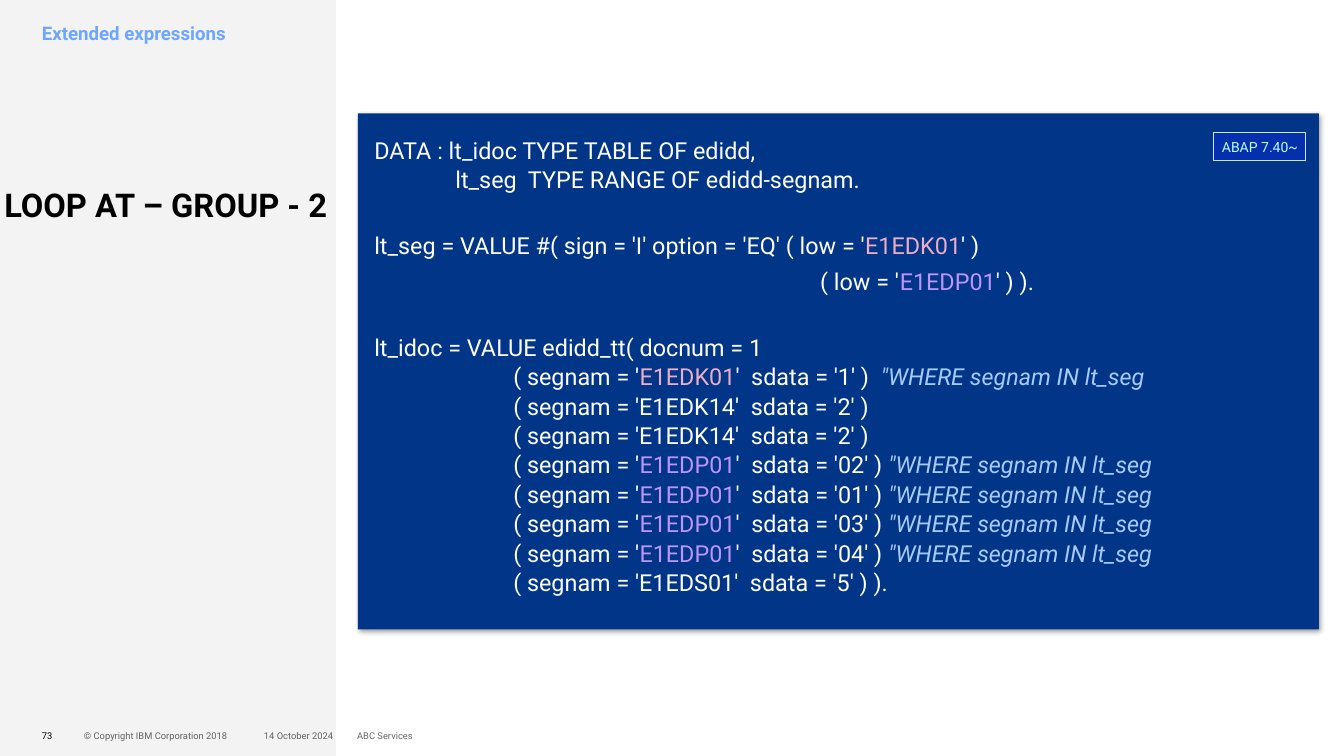
import pptx
import pptx.util
import pptx.dml.color
import pptx.enum.text
import pptx.enum.shapes
import lxml.etree

Cm, Pt = pptx.util.Cm, pptx.util.Pt
ANCHOR = pptx.enum.text.MSO_ANCHOR
ALIGN = pptx.enum.text.PP_ALIGN
RECT = pptx.enum.shapes.MSO_SHAPE.RECTANGLE
NS = "http://schemas.openxmlformats.org/drawingml/2006/main"

COLORS = {
    "black": "000000", "white": "FFFFFF", "side": "F3F3F3", "topic": "6EA6FF",
    "panel": "003587", "pink": "EFACC5", "violet": "BE94FD", "note": "A8CAFF",
    "badge": "0530AD", "edge": "CFE2FF", "mint": "BEFFFE",
}

# Content
TITLE = "LOOP AT – GROUP - 2"
TOPIC = "Extended expressions"
BADGE = "ABAP 7.40~"
NOTE = "\"WHERE segnam IN lt_seg"
FOOTER = [  # text, left, width, alignment, opacity
    ("73", 1.27, 0.91, ALIGN.LEFT, 100),
    ("© Copyright IBM Corporation 2018", 2.54, 6.35, ALIGN.LEFT, 60),
    ("14 October 2024", 6.27, 3.81, ALIGN.RIGHT, 60),
    ("ABC Services", 10.8, 6.35, ALIGN.LEFT, 60),
]
ROWS = [  # segment, data, ending, colour
    ("E1EDK01", "1", " )  ", "pink"),
    ("E1EDK14", "2", " )", None),
    ("E1EDK14", "2", " )", None),
    ("E1EDP01", "02", " ) ", "violet"),
    ("E1EDP01", "01", " ) ", "violet"),
    ("E1EDP01", "03", " ) ", "violet"),
    ("E1EDP01", "04", " ) ", "violet"),
    ("E1EDS01", "5", " ) ).", None),
]


def row(name, data, end, color):
    """One code line as a list of runs: (text, colour)."""
    head, tail = " " * 24 + "( segnam = '", f"'  sdata = '{data}'{end}"
    if color is None:
        return [(head + name + tail, "white")]
    return [(head, "white"), (name, color), (tail, "white"), (NOTE, "note")]


# Code blocks: space before in points, then lines of runs
CODE = [
    (0, [[("DATA : lt_idoc TYPE TABLE OF edidd,", "white")],
         [(" " * 14 + "lt_seg  TYPE RANGE OF edidd-segnam.", "white")]]),
    (31, [[("lt_seg = VALUE #( sign = 'I' option = 'EQ' ( low = '", "white"),
           ("E1EDK01", "pink"), ("' )", "white")]]),
    (6, [[(" " * 77 + "( low = '", "white"),
          ("E1EDP01", "violet"), ("' ) ).", "white")]]),
    (31, [[("lt_idoc = VALUE edidd_tt( docnum = 1", "white")]]
     + [row(*item) for item in ROWS]),
]


def rgb(name):
    return pptx.dml.color.RGBColor.from_string(COLORS[name])


def write(shape, text, size=20, color="black", bold=False, align=ALIGN.LEFT,
          anchor=ANCHOR.TOP, space=1.0, inset=(0, 0, 0, 0), wrap=True, alpha=100):
    """Fill a shape with a string or with blocks of lines of runs."""
    frame = shape.text_frame
    frame.word_wrap = wrap
    frame.vertical_anchor = anchor
    (frame.margin_left, frame.margin_top,
     frame.margin_right, frame.margin_bottom) = [Cm(v) for v in inset]
    blocks = [(0, [[(text, color)]])] if isinstance(text, str) else text
    for i, (before, lines) in enumerate(blocks):
        para = frame.add_paragraph() if i else frame.paragraphs[0]
        para.alignment, para.line_spacing = align, space
        if before:
            para.space_before = Pt(before)
        for j, line in enumerate(lines):
            if j:
                para.add_line_break()
            for words, tone in line:
                run = para.add_run()
                run.text = words
                font = run.font
                font.name, font.size, font.bold = "Roboto", Pt(size), bold
                font.italic = tone == "note"
                font.color.rgb = rgb(tone)
                if alpha < 100:
                    for node in run._r.iter(f"{{{NS}}}srgbClr"):
                        lxml.etree.SubElement(node, f"{{{NS}}}alpha", val=str(alpha * 1000))
        para.font.size = Pt(size)


def box(left, top, width, height, fill=None, edge=None):
    """Add a rectangle, or a text box if there is no fill."""
    area = [Cm(v) for v in (left, top, width, height)]
    if fill is None:
        return slide.shapes.add_textbox(*area)
    shape = slide.shapes.add_shape(RECT, *area)
    shape.shadow.inherit = False
    shape.fill.solid()
    shape.fill.fore_color.rgb = rgb(fill)
    if edge:
        shape.line.color.rgb = rgb(edge)
        shape.line.width = Pt(0.75)
    else:
        shape.line.fill.background()
    return shape


deck = pptx.Presentation()
deck.slide_width, deck.slide_height = Cm(40.64), Cm(22.86)
slide = deck.slides.add_slide(deck.slide_layouts[6])

# Side band and footer
box(0, 0, 10.16, 22.86, "side")
for text, left, width, align, alpha in FOOTER:
    write(box(left, 21.94, width, 0.61), text, size=8, align=align,
          anchor=ANCHOR.MIDDLE, alpha=alpha)

# Title and topic
write(box(0.13, 5.72, 10.03, 10.16), TITLE, size=28, bold=True, space=0.9)
write(box(1.27, 0.74, 8.26, 2.29), TOPIC, size=16, color="topic", bold=True, space=0.9)

# Code panel with its shadow
panel = box(10.82, 3.43, 29.06, 15.6, "panel")
effects = panel._element.spPr.find(f"{{{NS}}}effectLst")
shade = lxml.etree.SubElement(effects, f"{{{NS}}}outerShdw", blurRad=str(Pt(4)),
                              dist=str(Pt(3)), dir="2700000", algn="tl", rotWithShape="0")
tint = lxml.etree.SubElement(shade, f"{{{NS}}}srgbClr", val=COLORS["black"])
lxml.etree.SubElement(tint, f"{{{NS}}}alpha", val="40000")
write(panel, CODE, space=1.05, inset=(0.5, 0.64, 0, 0))

# Version badge
write(box(36.7, 4.01, 2.79, 0.84, "badge", "edge"), BADGE, size=12, color="mint",
      anchor=ANCHOR.MIDDLE, space=1.05, inset=(0.25, 0.13, 0.25, 0.13), wrap=False)

deck.save("out.pptx")
